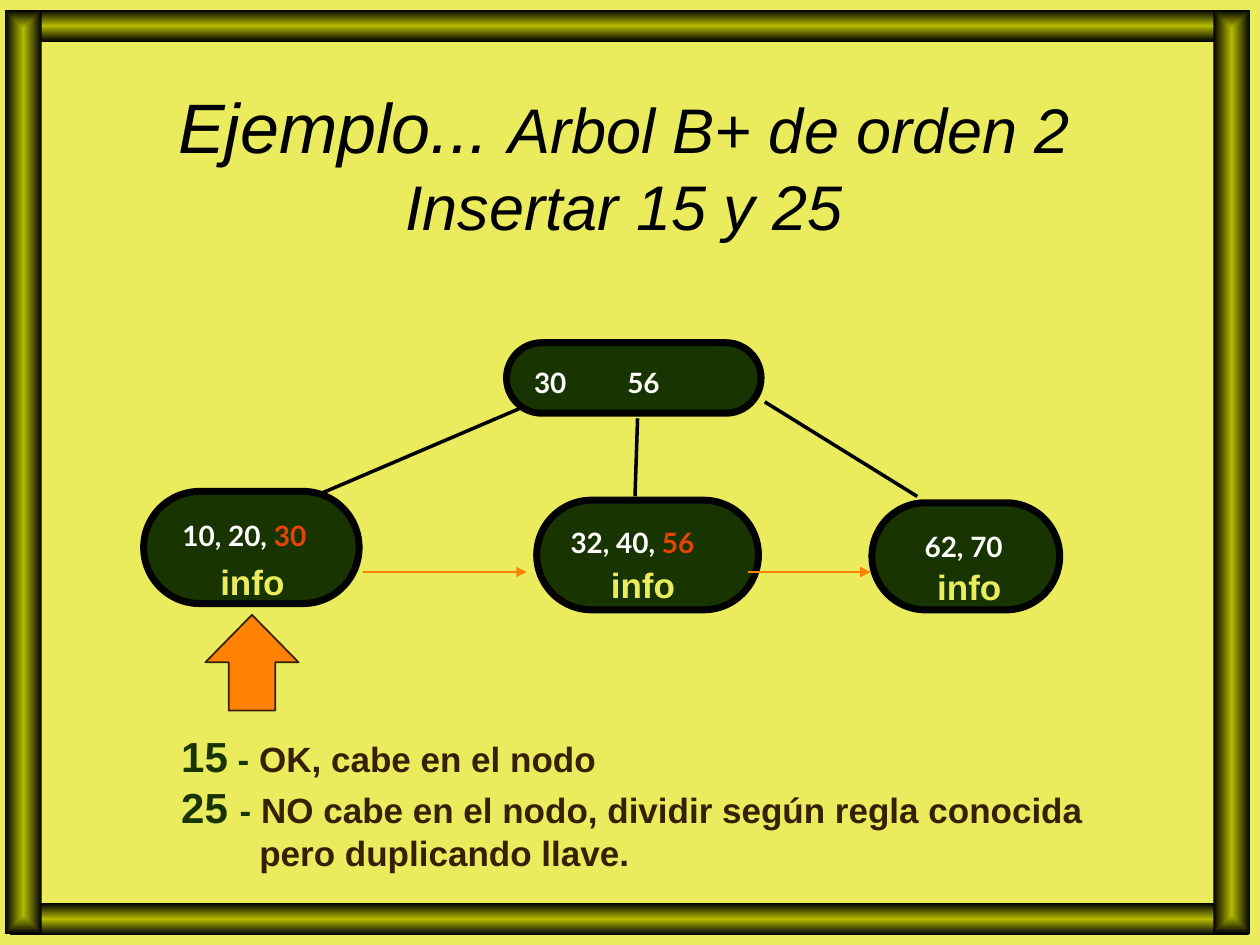
from lxml.etree import SubElement
from pptx import Presentation
from pptx.dml.color import RGBColor
from pptx.enum.shapes import MSO_CONNECTOR, MSO_SHAPE
from pptx.enum.text import MSO_ANCHOR, MSO_AUTO_SIZE, PP_ALIGN
from pptx.oxml.ns import qn
from pptx.util import Inches, Pt

CREAM, GREEN, BROWN = "EAEC5E", "183400", "372000"
BLACK, WHITE, RED, ORANGE = "000000", "FFFFFF", "E84400", "FF8203"


def color(code):
    return RGBColor.from_string(code)


def place(box):
    return [Inches(n) for n in box]


def style(run, size, code, face="Arial", bold=True, italic=False):
    font = run.font
    font.name, font.size = face, Pt(size)
    font.bold, font.italic = bold, italic
    font.color.rgb = color(code)


def add_runs(para, parts, **look):
    for text, size, code in parts:
        run = para.add_run()
        run.text = text
        style(run, size, code, **look)


def add_bar(slide, box):
    bar = slide.shapes.add_shape(MSO_SHAPE.RECTANGLE, *place(box))
    bar.shadow.inherit = False
    bar.line.fill.background()
    bar.fill.gradient()
    for stop, code in zip(bar.fill.gradient_stops, ("B3B900", BLACK)):
        stop.color.rgb = color(code)
    grad = bar._element.spPr.find(qn("a:gradFill"))
    grad.remove(grad.find(qn("a:lin")))
    track = SubElement(grad, qn("a:path"), path="rect")
    SubElement(track, qn("a:fillToRect"), l="50000", t="50000", r="50000", b="50000")


def add_solid(slide, kind, box, fill, line, width, adjust):
    shape = slide.shapes.add_shape(kind, *place(box))
    shape.shadow.inherit = False
    shape.fill.solid()
    shape.fill.fore_color.rgb = color(fill)
    shape.line.color.rgb = color(line)
    shape.line.width = Pt(width)
    for index, value in enumerate(adjust):
        shape.adjustments[index] = value


def add_line(slide, ends, code, width, head=False):
    line = slide.shapes.add_connector(MSO_CONNECTOR.STRAIGHT, *place(ends))
    line.line.color.rgb = color(code)
    line.line.width = Pt(width)
    if head:
        SubElement(line.line._get_or_add_ln(), qn("a:tailEnd"), type="triangle")
    SubElement(line._element.spPr, qn("a:effectLst"))


def add_text(slide, box, rows, face="Arial"):
    frame = slide.shapes.add_textbox(*place(box)).text_frame
    frame.word_wrap = True
    for index, parts in enumerate(rows):
        para = frame.add_paragraph() if index else frame.paragraphs[0]
        add_runs(para, parts, face=face)
    return frame


def add_title(slide):
    title = slide.shapes.title
    title.left, title.top, title.width, title.height = place((0.33, 0.67, 9.25, 1.25))
    frame = title.text_frame
    frame.auto_size = MSO_AUTO_SIZE.NONE
    frame.vertical_anchor = MSO_ANCHOR.MIDDLE
    para = frame.paragraphs[0]
    para.alignment = PP_ALIGN.CENTER
    look = {"bold": False, "italic": True}
    add_runs(para, [("Ejemplo... ", 40, BLACK), ("Arbol B+ de orden 2", 36, BLACK)], **look)
    para.add_line_break()
    SubElement(para._p.find(qn("a:br")), qn("a:rPr"), sz="4000")
    add_runs(para, [("Insertar 15 y 25", 36, BLACK)], **look)


def add_node(slide, box):
    add_solid(slide, MSO_SHAPE.ROUNDED_RECTANGLE, box, GREEN, BLACK, 4, [0.5])


def add_root(slide):
    add_node(slide, (4.02, 2.72, 2.02, 0.56))
    frame = add_text(slide, (4.14, 2.85, 2.38, 0.36), [[("30\t56", 16, WHITE)]], "Lato")
    tabs = SubElement(frame.paragraphs[0]._p.get_or_add_pPr(), qn("a:tabLst"))
    SubElement(tabs, qn("a:tab"), pos=str(Inches(0.74)), algn="l")


def add_leaf(slide, box, keys, last, spot, info):
    add_node(slide, box)
    parts = [(keys, 16, WHITE)]
    if last:
        parts.append((last, 16, RED))
    add_text(slide, (*spot, 1.4, 0.36), [parts], "Lato")
    add_text(slide, (*info, 0.9, 0.43), [[("info", 20, CREAM)]])


def add_notes(slide):
    rows = [
        [("15", 24, GREEN), (" - ", 20, GREEN), ("OK, cabe en el nodo", 20, BROWN)],
        [("25 ", 24, GREEN), ("- ", 20, GREEN),
         ("NO cabe en el nodo, dividir según regla conocida", 20, BROWN)],
        [("pero duplicando llave.", 20, BROWN)],
    ]
    frame = add_text(slide, (1.34, 5.75, 7.8, 1.23), rows)
    frame.paragraphs[-1]._p.get_or_add_pPr().set("marL", str(Inches(0.62)))


def main():
    deck = Presentation()
    deck.slide_width, deck.slide_height = Inches(10), Inches(7.5)
    slide = deck.slides.add_slide(deck.slide_layouts[5])
    slide.background.fill.solid()
    slide.background.fill.fore_color.rgb = color(CREAM)
    for top in (0.08, 7.17):
        add_bar(slide, (0.08, top, 9.83, 0.25))
    for left in (0.04, 9.63):
        add_bar(slide, (left, 0.08, 0.29, 7.33))
    add_title(slide)

    add_root(slide)
    leaves = [
        ((1.14, 3.9, 1.71, 0.89), "10, 20, ", "30", (1.35, 4.07), (1.65, 4.4)),
        ((4.26, 3.97, 1.76, 0.87), "32, 40, ", "56", (4.43, 4.12), (4.75, 4.42)),
        ((6.92, 3.99, 1.49, 0.85), "62, 70", "", (7.24, 4.15), (7.34, 4.44)),
    ]
    for leaf in leaves:
        add_leaf(slide, *leaf)
    for ends in ((4.13, 3.24, 2.54, 3.92), (5.06, 3.32, 5.04, 3.94), (6.07, 3.19, 7.28, 3.94)):
        add_line(slide, ends, BLACK, 2)
    for start, end in ((2.88, 4.18), (5.94, 6.91)):
        add_line(slide, (start, 4.54, end, 4.54), ORANGE, 1, head=True)

    add_solid(slide, MSO_SHAPE.UP_ARROW, (1.63, 4.88, 0.74, 0.76), ORANGE, BROWN, 1, [0.5, 0.51])
    add_notes(slide)
    deck.save("out.pptx")


if __name__ == "__main__":
    main()
